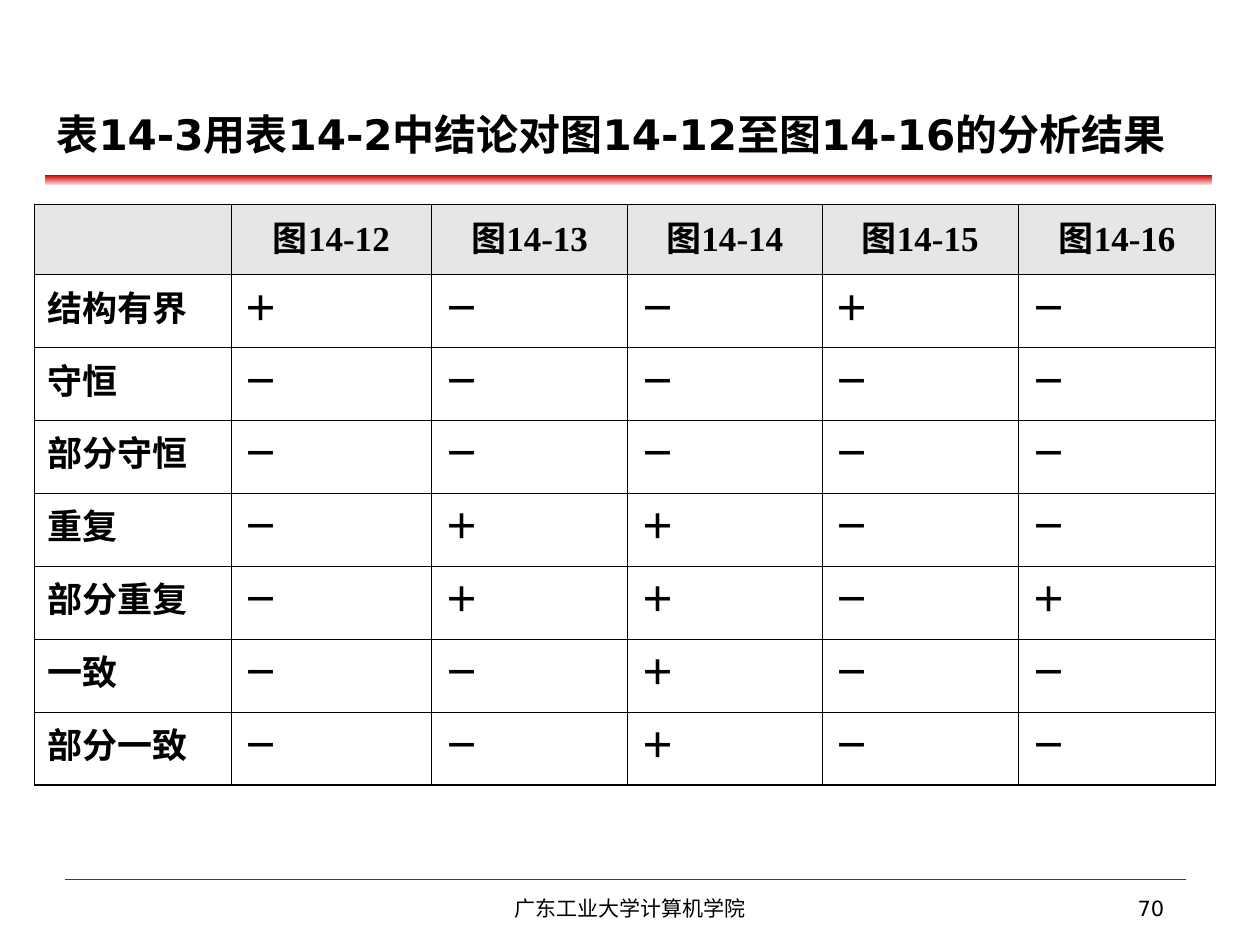
"""Build the slide with the table of net properties for figures 14-12 to 14-16."""
from dataclasses import dataclass
from typing import Any

import lxml.etree
import pptx
import pptx.dml.color
import pptx.enum.dml
import pptx.enum.text
import pptx.oxml.ns
import pptx.util

Pt = pptx.util.Pt
ALIGN = pptx.enum.text.PP_ALIGN
ANCHOR = pptx.enum.text.MSO_ANCHOR
COLORS = {
    "ink": "000000",
    "red": "CC0000",
    "pale": "F7DFDF",
    "head": "E6E6E6",
}
SANS, SERIF = "DejaVu Sans", "Times New Roman"
THIN, THICK = 0.45, 0.96
HANG = 36.7
COLS = [112.5, 114.4, 112.2, 110.9, 112.5, 112.5]
TOP_ROW, ROW = 39.8, 41.7
HEAD = ["", "图14-12", "图14-13", "图14-14", "图14-15", "图14-16"]
MARKS = {
    "结构有界": "＋－－＋－",
    "守恒": "－－－－－",
    "部分守恒": "－－－－－",
    "重复": "－＋＋－－",
    "部分重复": "－＋＋－＋",
    "一致": "－－＋－－",
    "部分一致": "－－＋－－",
}


@dataclass
class Label:
    """A text box with its place and format."""
    text: str
    left: float
    top: float
    width: float
    height: float
    size: float
    bold: bool
    align: Any
    anchor: Any


LABELS = [
    Label("表14-3用表14-2中结论对图14-12至图14-16的分析结果",
          25.2, 54.7, 668.9, 39.6, 24, True, ALIGN.LEFT, ANCHOR.BOTTOM),
    Label("广东工业大学计算机学院",
          246.2, 508.3, 228.2, 20.9, 12, False, ALIGN.CENTER, ANCHOR.TOP),
    Label("70", 516.2, 508.3, 156.2, 20.9, 12, False, ALIGN.RIGHT, ANCHOR.TOP),
]


def tint(key: str) -> pptx.dml.color.RGBColor:
    """Return the named colour."""
    return pptx.dml.color.RGBColor.from_string(COLORS[key])


def assign(target: Any, values: dict) -> None:
    """Set each attribute held in the dict."""
    for key, value in values.items():
        setattr(target, key, value)


def write(frame: Any, text: str, align: Any, font: dict) -> Any:
    """Write one run into a text frame and return its paragraph."""
    para = frame.paragraphs[0]
    para.alignment = align
    run = para.add_run()
    run.text = text
    assign(run.font, font)
    run.font.color.rgb = tint("ink")
    return para


def draw_label(slide: Any, label: Label) -> None:
    """Add a text box."""
    box = slide.shapes.add_textbox(
        Pt(label.left), Pt(label.top), Pt(label.width), Pt(label.height))
    assign(box.text_frame, {"word_wrap": True, "vertical_anchor": label.anchor})
    write(box.text_frame, label.text, label.align,
          {"name": SANS, "size": Pt(label.size), "bold": label.bold})


def draw_bar(slide: Any) -> None:
    """Add the fading bar under the title."""
    left, right, top, base = 25.5, 692.6, 100.1, 105.8
    path = slide.shapes.build_freeform(Pt(left), Pt(base))
    path.add_line_segments(
        [(Pt(right), Pt(base)), (Pt(right), Pt(top)), (Pt(left), Pt(top))])
    bar = path.convert_to_shape()
    bar.shadow.inherit = False
    bar.line.fill.background()
    bar.fill.gradient()
    bar.fill.gradient_angle = 90
    for stop, key, place in zip(bar.fill.gradient_stops, ("pale", "red"), (0, 1)):
        stop.color.rgb = tint(key)
        stop.position = place


def draw_rule(slide: Any) -> None:
    """Add the thin line above the footer."""
    rule = slide.shapes.add_connector(
        pptx.enum.shapes.MSO_CONNECTOR.STRAIGHT,
        Pt(36.9), Pt(502.6), Pt(677.6), Pt(502.6))
    rule.line.color.rgb = tint("red")
    rule.line.width = Pt(0.25)
    lxml.etree.SubElement(
        rule._element.spPr, pptx.oxml.ns.qn("a:effectLst"))


def edge(cell: Any, sides: dict[str, float]) -> None:
    """Draw the borders of a cell, given a width for each side."""
    qn = pptx.oxml.ns.qn
    props = cell._tc.get_or_add_tcPr()
    for side, width in sides.items():
        line = lxml.etree.SubElement(props, qn("a:ln" + side), w=str(Pt(width)))
        fill = lxml.etree.SubElement(line, qn("a:solidFill"))
        lxml.etree.SubElement(fill, qn("a:srgbClr"), val=COLORS["ink"])


def draw_table(slide: Any) -> None:
    """Add the table of marks."""
    rows = [HEAD] + [[name, *marks] for name, marks in MARKS.items()]
    last, end = len(rows) - 1, len(COLS) - 1
    table = slide.shapes.add_table(
        len(rows), len(COLS), Pt(19.7), Pt(116.8),
        Pt(sum(COLS)), Pt(TOP_ROW + ROW * last)).table
    assign(table, {"first_row": False, "horz_banding": False})
    for col, width in zip(table.columns, COLS):
        col.width = Pt(width)
    font = {"name": SERIF, "size": Pt(20), "bold": True}
    for i, row in enumerate(rows):
        table.rows[i].height = Pt(ROW if i else TOP_ROW)
        for j, text in enumerate(row):
            cell = table.cell(i, j)
            edge(cell, {
                "L": THIN if j else THICK,
                "R": THICK if j == end else THIN,
                "T": THIN if i else THICK,
                "B": THICK if i == last else THIN,
            })
            if i:
                cell.fill.background()
            else:
                cell.fill.solid()
                cell.fill.fore_color.rgb = tint("head")
            if text:
                align = ALIGN.LEFT if i else ALIGN.CENTER
                para = write(cell.text_frame, text, align, font)
                props = para._p.get_or_add_pPr()
                props.set("marL", str(Pt(HANG)))
                props.set("indent", str(-Pt(HANG)))


def main() -> None:
    """Build and save the slide."""
    deck = pptx.Presentation()
    assign(deck, {"slide_width": Pt(720), "slide_height": Pt(540)})
    slide = deck.slides.add_slide(deck.slide_layouts[6])
    draw_bar(slide)
    draw_rule(slide)
    title, *foot = LABELS
    draw_label(slide, title)
    draw_table(slide)
    for label in foot:
        draw_label(slide, label)
    deck.save("out.pptx")


if __name__ == "__main__":
    main()
